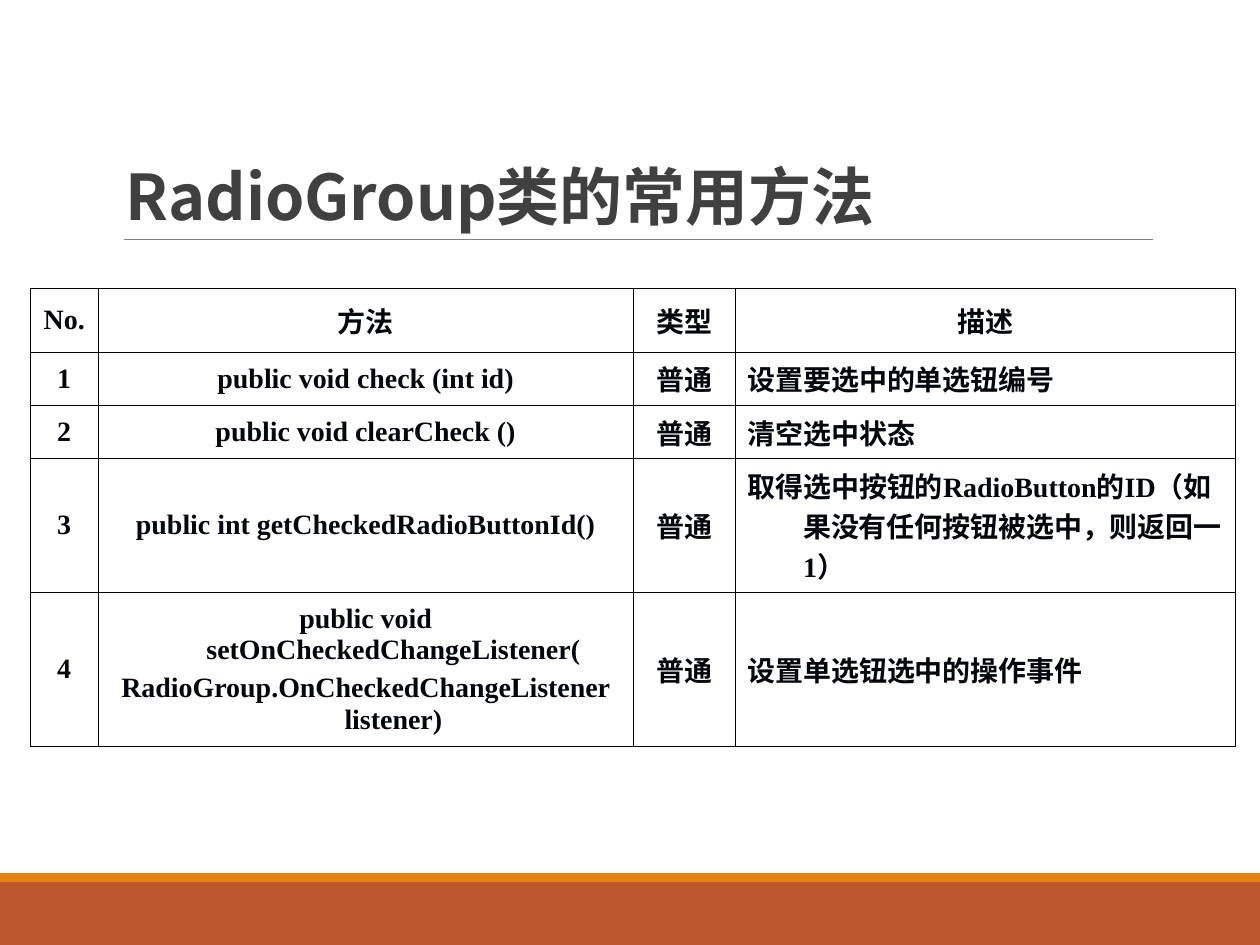
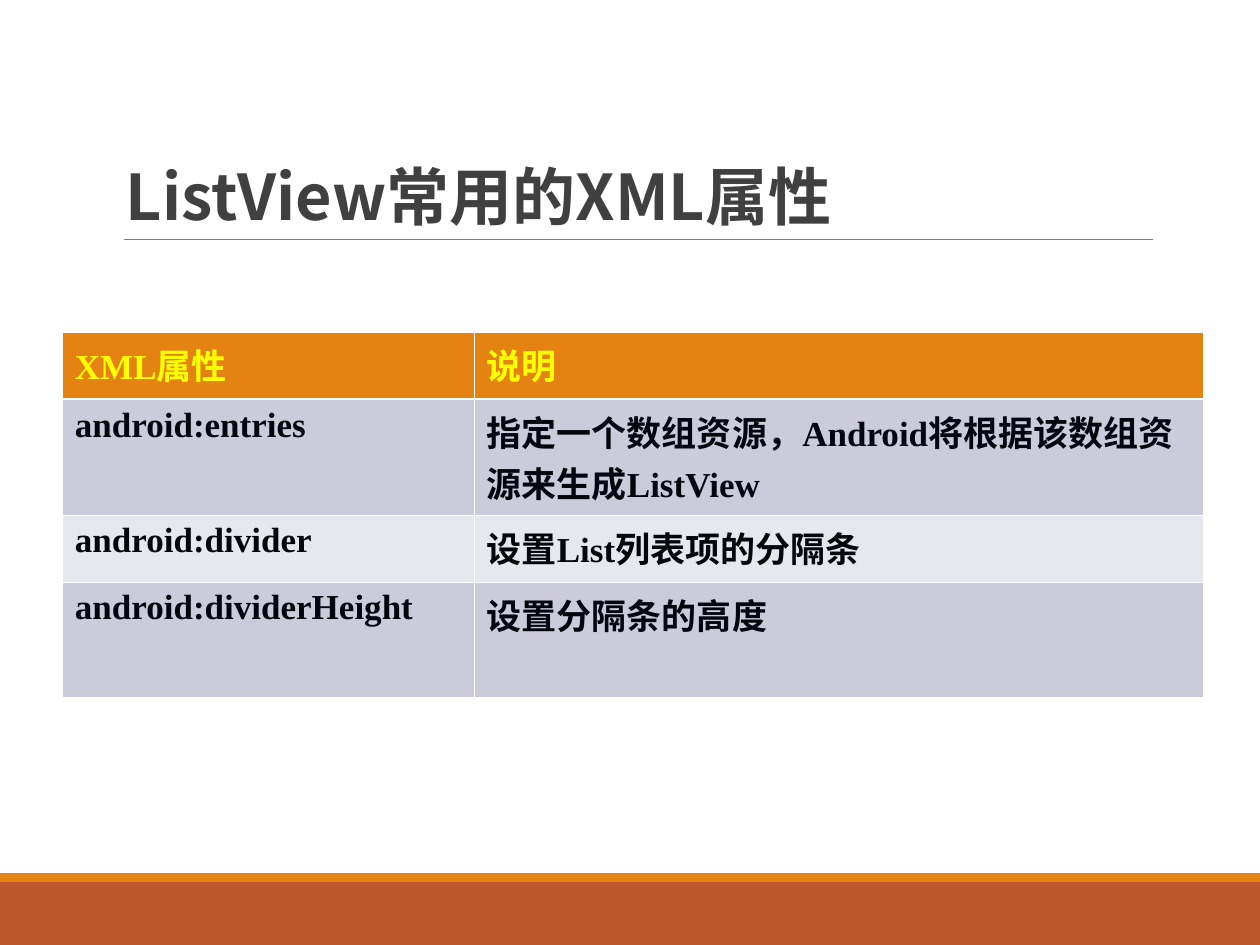
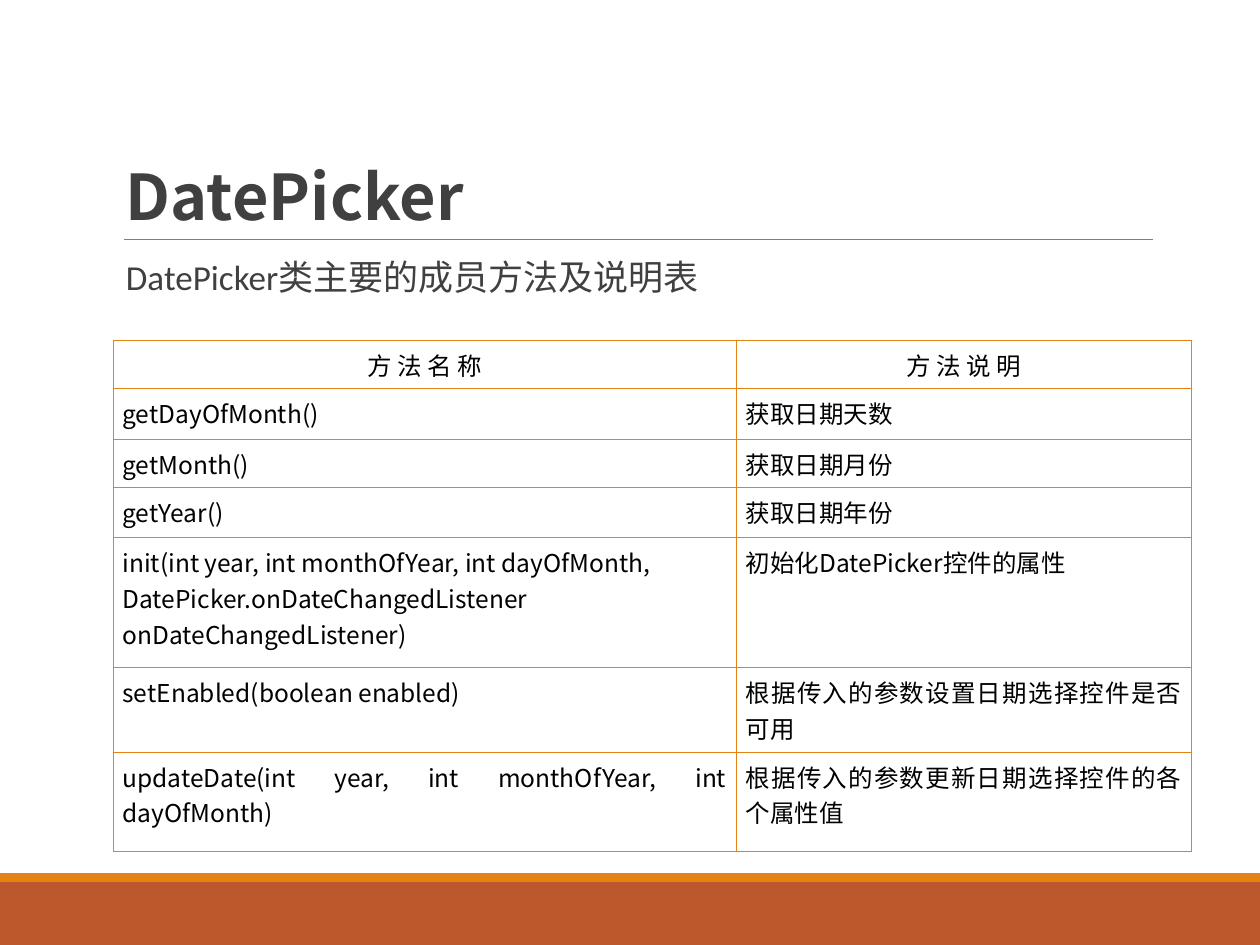
from dataclasses import dataclass
from typing import Any, NamedTuple

from lxml import etree
from pptx import Presentation
from pptx import util as u
from pptx.dml.color import RGBColor
from pptx.enum import shapes, text
from pptx.oxml import ns


@dataclass(frozen=True)
class Theme:
    rust: str = "BD582C"
    orange: str = "E48312"
    rule: str = "7F7F7F"
    heading: str = "404040"
    ink: str = "03070D"
    black: str = "000000"
    white: str = "FFFFFF"
    yellow: str = "FFFF00"
    lilac: str = "CBCBDB"
    pale: str = "E7E7EE"
    sans: str = "Noto Sans CJK SC"
    serif: str = "Times New Roman"
    body: str = "Calibri"
    title_size: int = 36
    lead_size: int = 20
    grid_size: int = 16
    small_size: int = 14
    hairline: float = 0.45
    heavy_line: float = 1.47
    rule_line: float = 0.5


THEME = Theme()
LEFT, CENTER, JUSTIFY = text.PP_ALIGN.LEFT, text.PP_ALIGN.CENTER, text.PP_ALIGN.JUSTIFY
TOP, MIDDLE, BOTTOM = text.MSO_ANCHOR.TOP, text.MSO_ANCHOR.MIDDLE, text.MSO_ANCHOR.BOTTOM


class Area(NamedTuple):
    left: float
    top: float
    width: float
    height: float

    def lengths(self) -> list[u.Cm]:
        return [u.Cm(value) for value in self]


class TextStyle(NamedTuple):
    font: str
    size: int
    color: str
    bold: bool = False


class Band(NamedTuple):
    area: Area
    color: str


@dataclass(frozen=True)
class Grid:
    left: float
    top: float
    columns: list[float]
    row_heights: list[float]
    rows: list[list[str]]
    style: TextStyle
    border: str
    header_aligns: list[Any]
    body_aligns: list[Any]
    header_color: str
    left_rows: tuple[int, ...] = ()
    fills: tuple[str, ...] = ()
    header_fill: str = ""
    header_line: float = THEME.hairline
    anchor: Any = TOP
    side_margin: float = 0.25
    hanging: float = 0
    space_after: float = 0

    def aligns(self, row: int) -> list[Any]:
        if row == 0:
            return self.header_aligns
        return [LEFT] * len(self.columns) if row in self.left_rows else self.body_aligns


@dataclass(frozen=True)
class Page:
    title: str
    grid: Grid
    lead: str = ""


BANDS = [
    Band(Area(0, 17.78, 25.4, 1.27), THEME.rust),
    Band(Area(0, 17.6, 25.4, 0.18), THEME.orange),
]
TITLE_AREA = Area(2.29, 0.79, 20.96, 4.04)
LEAD_AREA = Area(2.29, 5.13, 20.96, 11.18)
TITLE_STYLE = TextStyle(THEME.sans, THEME.title_size, THEME.heading, True)
LEAD_STYLE = TextStyle(THEME.body, THEME.lead_size, THEME.heading)

PAGES = [
    Page(
        "RadioGroup类的常用方法",
        Grid(
            left=0.61, top=5.82,
            columns=[1.37, 10.78, 2.06, 10.09],
            row_heights=[1.28, 1.07, 1.07, 2.7, 3.11],
            rows=[
                ["No.", "方法", "类型", "描述"],
                ["1", "public void check (int id)", "普通", "设置要选中的单选钮编号"],
                ["2", "public void clearCheck ()", "普通", "清空选中状态"],
                ["3", "public int getCheckedRadioButtonId()", "普通",
                 "取得选中按钮的RadioButton的ID（如果没有任何按钮被选中，则返回一1）"],
                ["4", "public void setOnCheckedChangeListener(\n"
                      "RadioGroup.OnCheckedChangeListener listener)",
                 "普通", "设置单选钮选中的操作事件"],
            ],
            style=TextStyle(THEME.serif, THEME.grid_size, THEME.ink, True),
            border=THEME.black,
            header_aligns=[CENTER] * 4,
            body_aligns=[CENTER, CENTER, CENTER, LEFT],
            header_color=THEME.ink,
            anchor=MIDDLE, hanging=1.12, space_after=4,
        ),
    ),
    Page(
        "ListView常用的XML属性",
        Grid(
            left=1.26, top=6.7,
            columns=[8.3, 14.69],
            row_heights=[1.35, 2.33, 1.35, 2.33],
            rows=[
                ["XML属性", "说明"],
                ["android:entries", "指定一个数组资源，Android将根据该数组资源来生成ListView"],
                ["android:divider", "设置List列表项的分隔条"],
                ["android:dividerHeight", "设置分隔条的高度"],
            ],
            style=TextStyle(THEME.serif, THEME.lead_size, THEME.ink, True),
            border=THEME.white,
            header_aligns=[LEFT] * 2,
            body_aligns=[LEFT] * 2,
            header_color=THEME.yellow,
            fills=(THEME.lilac, THEME.pale),
            header_fill=THEME.orange,
            header_line=THEME.heavy_line,
        ),
    ),
    Page(
        "DatePicker",
        Grid(
            left=2.28, top=6.86,
            columns=[12.56, 9.17],
            row_heights=[0.97, 1.02, 0.97, 1.02, 2.62, 1.7, 2.01],
            rows=[
                ["方 法 名 称", "方 法 说 明"],
                ["getDayOfMonth()", "获取日期天数"],
                ["getMonth()", "获取日期月份"],
                ["getYear()", "获取日期年份"],
                ["init(int year, int monthOfYear, int dayOfMonth, "
                 "DatePicker.onDateChangedListener onDateChangedListener)",
                 "初始化DatePicker控件的属性"],
                ["setEnabled(boolean enabled)", "根据传入的参数设置日期选择控件是否可用"],
                ["updateDate(int year, int monthOfYear, int dayOfMonth)",
                 "根据传入的参数更新日期选择控件的各个属性值"],
            ],
            style=TextStyle(THEME.sans, THEME.small_size, THEME.black),
            border=THEME.orange,
            header_aligns=[CENTER] * 2,
            body_aligns=[JUSTIFY] * 2,
            header_color=THEME.black,
            left_rows=(4,),
            side_margin=0.19,
        ),
        lead="DatePicker类主要的成员方法及说明表",
    ),
]


def apply(target: Any, values: dict[str, Any]) -> None:
    for name, value in values.items():
        setattr(target, name, value)


def paint(fill: Any, color: str) -> None:
    fill.solid()
    fill.fore_color.rgb = RGBColor.from_string(color)


def add_span(para: Any, words: str, style: TextStyle) -> None:
    span = para.add_run()
    span.text = words
    apply(span.font, {"size": u.Pt(style.size), "bold": style.bold, "name": style.font})
    span.font.color.rgb = RGBColor.from_string(style.color)
    etree.SubElement(span.font._element, ns.qn("a:ea"), typeface=THEME.sans)


def add_text(page: Any, area: Area, words: str, style: TextStyle,
             frame_format: dict[str, Any], para_format: dict[str, Any]) -> None:
    frame = page.shapes.add_textbox(*area.lengths()).text_frame
    apply(frame, {"word_wrap": True, **frame_format})
    para = frame.paragraphs[0]
    apply(para, para_format)
    add_span(para, words, style)


def add_frame(page: Any) -> None:
    for band in BANDS:
        box = page.shapes.add_shape(shapes.MSO_SHAPE.RECTANGLE, *band.area.lengths())
        box.shadow.inherit = False
        paint(box.fill, band.color)
        box.line.fill.background()
    rule = page.shapes.add_connector(
        shapes.MSO_CONNECTOR.STRAIGHT, u.Cm(2.49), u.Cm(4.83), u.Cm(23.24), u.Cm(4.83))
    paint(rule.line.fill, THEME.rule)
    rule.line.width = u.Pt(THEME.rule_line)
    etree.SubElement(rule._element.spPr, ns.qn("a:effectLst"))


def add_borders(cell: Any, color: str, widths: dict[str, float]) -> None:
    properties = cell._tc.get_or_add_tcPr()
    for side, width in widths.items():
        line = etree.SubElement(properties, ns.qn(f"a:ln{side}"), w=str(u.Pt(width)))
        solid = etree.SubElement(line, ns.qn("a:solidFill"))
        etree.SubElement(solid, ns.qn("a:srgbClr"), val=color)


def fill_cell(cell: Any, words: str, grid: Grid, row: int, align: Any) -> None:
    side, edge = u.Cm(grid.side_margin), u.Cm(0.13)
    apply(cell, {"margin_left": side, "margin_right": side, "margin_top": edge,
                 "margin_bottom": edge, "vertical_anchor": grid.anchor})
    add_borders(cell, grid.border, {
        "L": THEME.hairline,
        "R": THEME.hairline,
        "T": grid.header_line if row == 1 else THEME.hairline,
        "B": grid.header_line if row == 0 else THEME.hairline,
    })
    if grid.fills:
        paint(cell.fill, grid.fills[(row - 1) % len(grid.fills)] if row else grid.header_fill)
    else:
        cell.fill.background()
    style = grid.style if row else grid.style._replace(color=grid.header_color)
    frame = cell.text_frame
    for index, line in enumerate(words.split("\n")):
        para = frame.add_paragraph() if index else frame.paragraphs[0]
        apply(para, {"alignment": align, "space_after": u.Pt(0 if index else grid.space_after)})
        if grid.hanging:
            properties = para._p.get_or_add_pPr()
            properties.set("marL", str(u.Cm(grid.hanging)))
            properties.set("indent", str(-u.Cm(grid.hanging)))
        add_span(para, line, style)


def add_grid(page: Any, grid: Grid) -> None:
    area = Area(grid.left, grid.top, sum(grid.columns), sum(grid.row_heights))
    table = page.shapes.add_table(
        len(grid.rows), len(grid.columns), *area.lengths()).table
    apply(table, {"first_row": False, "horz_banding": False})
    for column, width in zip(table.columns, grid.columns):
        column.width = u.Cm(width)
    for row, (height, words) in enumerate(zip(grid.row_heights, grid.rows)):
        table.rows[row].height = u.Cm(height)
        for column, (entry, align) in enumerate(zip(words, grid.aligns(row))):
            fill_cell(table.cell(row, column), entry, grid, row, align)


def main() -> None:
    deck = Presentation()
    apply(deck, {"slide_width": u.Cm(25.4), "slide_height": u.Cm(19.05)})
    for content in PAGES:
        page = deck.slides.add_slide(deck.slide_layouts[6])
        add_frame(page)
        add_text(page, TITLE_AREA, content.title, TITLE_STYLE,
                 {"vertical_anchor": BOTTOM}, {"line_spacing": 0.85})
        if content.lead:
            add_text(page, LEAD_AREA, content.lead, LEAD_STYLE,
                     {"margin_left": u.Cm(0.25), "margin_right": 0},
                     {"line_spacing": 0.9, "space_after": u.Pt(2)})
        add_grid(page, content.grid)
    deck.save("out.pptx")


if __name__ == "__main__":
    main()
